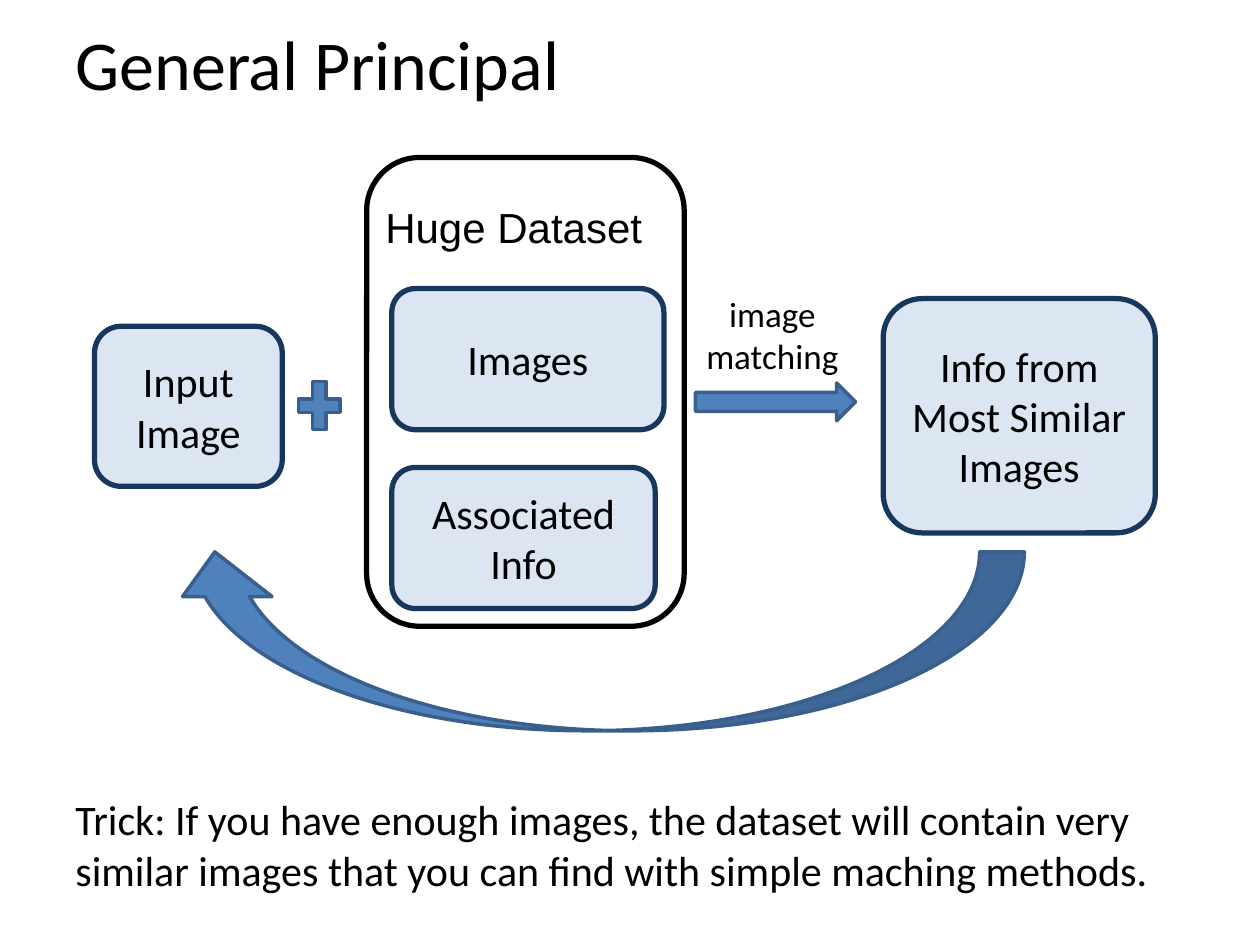
"""Build the General Principal slide: a flow from an input image to matched info."""
from pptx import Presentation
from pptx.dml.color import RGBColor
from pptx.enum.shapes import MSO_SHAPE
from pptx.enum.text import MSO_ANCHOR, PP_ALIGN
from pptx.util import Pt

PX = 9144
ROUND, PLUS = MSO_SHAPE.ROUNDED_RECTANGLE, MSO_SHAPE.MATH_PLUS
RIGHT, CURVE = MSO_SHAPE.RIGHT_ARROW, MSO_SHAPE.CURVED_UP_ARROW
MIDDLE, TOP = MSO_ANCHOR.MIDDLE, MSO_ANCHOR.TOP
LEFT, CENTER = PP_ALIGN.LEFT, PP_ALIGN.CENTER


class Theme:
    ink = RGBColor.from_string("000000")
    pale = RGBColor.from_string("DCE6F2")
    navy = RGBColor.from_string("17375E")
    blue = RGBColor.from_string("4F81BD")
    edge = RGBColor.from_string("3A5F8C")
    font, plain = "Calibri", "Arial"
    head, body, note = Pt(40), Pt(24), Pt(20)
    thick, thin = Pt(3), Pt(2)


def write(shape, text, size, align, anchor, wrap=True, font=Theme.font):
    frame = shape.text_frame
    frame.text = text
    frame.word_wrap = wrap
    frame.vertical_anchor = anchor
    for para in frame.paragraphs:
        para.alignment = align
        para.font.name = font
        para.font.size = size
        para.font.color.rgb = Theme.ink


def draw(kind, box, fill, line, width):
    shape = shapes.add_shape(kind, *[n * PX for n in box])
    shape.shadow.inherit = False
    if fill is None:
        shape.fill.background()
    else:
        shape.fill.solid()
        shape.fill.fore_color.rgb = fill
    shape.line.color.rgb = line
    shape.line.width = width
    return shape


deck = Presentation()
deck.slide_width, deck.slide_height = 1000 * PX, 750 * PX
slide = deck.slides.add_slide(deck.slide_layouts[5])
shapes = slide.shapes

title = shapes.title
title.left, title.top, title.width, title.height = 50 * PX, 0, 900 * PX, 100 * PX
write(title, "General Principal", Theme.head, LEFT, MIDDLE)

draw(ROUND, (291, 125, 252, 372), None, Theme.ink, Theme.thick)

for text, box in [
    ("Input Image", (75, 259, 149, 127)),
    ("Images", (311, 229, 216, 112)),
    ("Associated Info", (311, 371, 209, 112)),
    ("Info from Most Similar Images", (701, 237, 216, 186)),
]:
    card = draw(ROUND, box, Theme.pale, Theme.navy, Theme.thick)
    write(card, text, Theme.body, CENTER, MIDDLE)

for kind, box in [
    (PLUS, (231, 296, 45, 52)),
    (RIGHT, (552, 304, 127, 30)),
    (CURVE, (135, 438, 678, 142)),
]:
    sign = draw(kind, box, Theme.blue, Theme.edge, Theme.thin)
    if kind == CURVE:
        sign._element.spPr.xfrm.set("flipH", "1")

for text, box, size, align, wrap, font in [
    ("Huge Dataset", (296, 155, 233, 51), Theme.body, LEFT, False, Theme.plain),
    ("image\nmatching", (550, 227, 126, 77), Theme.note, CENTER, False, Theme.font),
    ("Trick: If you have enough images, the dataset will contain very similar "
     "images that you can find with simple maching methods.",
     (50, 625, 875, 91), Theme.body, LEFT, True, Theme.font),
]:
    label = shapes.add_textbox(*[n * PX for n in box])
    write(label, text, size, align, TOP, wrap, font)

deck.save("out.pptx")
